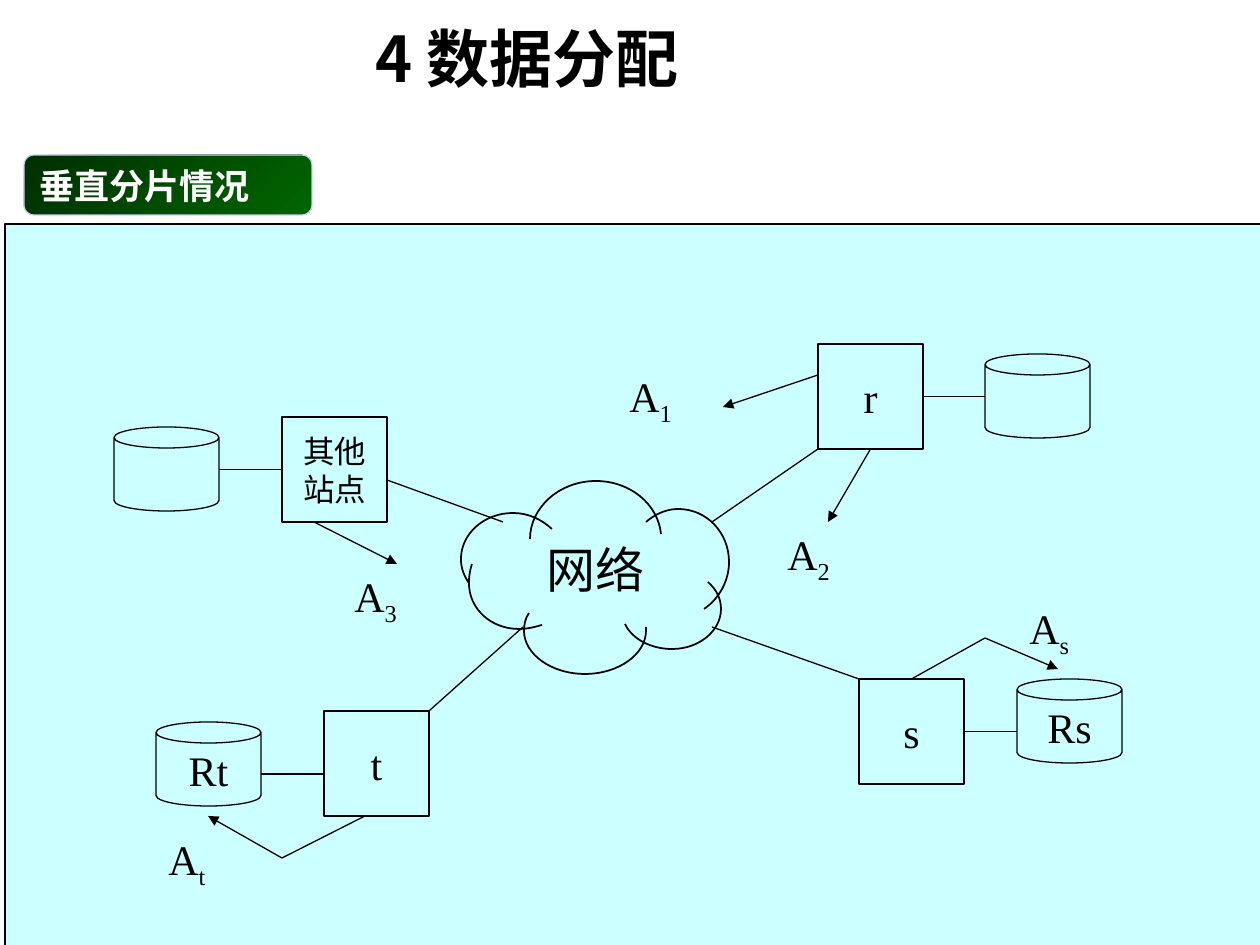
from lxml import etree
from pptx import Presentation
from pptx import util as u
from pptx.dml.color import RGBColor
from pptx.enum import shapes, text
from pptx.oxml.ns import qn

EMU_PER_PX = 914400 / 126
COLORS = {"ink": "000000", "white": "FFFFFF", "panel": "CCFFFF",
          "dark": "002F00", "green": "006600", "rim": "CCCCFF"}
SERIF, SANS = "Times New Roman", "Noto Sans CJK SC"

TITLE = ("4 数据分配", (363, 13, 630, 88))
HEADING = ("垂直分片情况", (24, 155, 288, 60))
PANEL = (5, 224, 1260, 725)
SITE_SIZE, DISK_SIZE = (105, 105), (105, 84)

# name: (text, left, top, font size)
SITES = {"r": ("r", 818, 344, 24), "s": ("s", 859, 679, 24),
         "other": ("其他\n站点", 282, 417, 18), "t": ("t", 324, 711, 24)}
# (text, left, top)
DISKS = [("", 114, 427), ("Rt", 156, 722), ("", 985, 354), ("Rs", 1017, 679)]
# (text, subscript, left, top, width, height, font size)
LABELS = [("网络", "", 534, 533, 136, 72, 28),
          ("A", "1", 617, 364, 105, 63, 24), ("A", "2", 775, 522, 136, 63, 24),
          ("A", "s", 1017, 596, 116, 63, 24), ("A", "t", 156, 827, 116, 63, 24),
          ("A", "3", 342, 564, 108, 63, 24)]
# (start, end, arrow at end, site and side joined at the start)
LINKS = [
    ((818, 375), (723, 407), True, None),
    ((870, 449), (828, 522), True, ("r", 2)),
    ((314, 522), (397, 564), True, None),
    ((912, 679), (985, 638), False, ("s", 0)),
    ((985, 638), (1058, 669), True, None),
    ((324, 774), (261, 774), False, None),
    ((282, 470), (219, 470), False, ("other", 1)),
    ((923, 396), (985, 396), False, ("r", 3)),
    ((964, 732), (1017, 732), False, ("s", 3)),
    ((429, 711), (523, 627), False, None),
    ((859, 679), (712, 627), False, None),
    ((387, 480), (503, 522), False, None),
    ((818, 449), (712, 522), False, None),
    ((365, 816), (282, 858), False, None),
    ((282, 858), (208, 816), True, None),
]
# Cubic curves: a start point, then two control points and an end point each
CLOUD_ARCS = [
    [(469, 583), (464, 576), (461, 568), (461, 559), (461, 534), (484, 513),
     (513, 513), (528, 513), (541, 519), (552, 529)],
    [(530, 539), (530, 508), (559, 481), (596, 481), (630, 481), (658, 504),
     (661, 534)],
    [(542, 625), (535, 627), (528, 629), (519, 629), (491, 629), (469, 609),
     (469, 583), (469, 577), (470, 570), (472, 564)],
    [(646, 627), (646, 629), (646, 630), (646, 631), (646, 654), (619, 674),
     (585, 674), (551, 674), (524, 654), (524, 631), (524, 625), (525, 619),
     (529, 613)],
    [(708, 582), (717, 590), (721, 599), (721, 609), (721, 631), (699, 649),
     (672, 649), (651, 649), (632, 639), (625, 624)],
    [(646, 522), (655, 514), (667, 509), (678, 509), (707, 509), (729, 533),
     (729, 562), (729, 581), (719, 599), (704, 609)],
]


def px(*values):
    return [u.Emu(round(value * EMU_PER_PX)) for value in values]


def rgb(name):
    return RGBColor.from_string(COLORS[name])


def style_span(span, size, color="ink", font=SERIF, bold=False):
    span.font.size, span.font.name, span.font.bold = u.Pt(size), font, bold
    span.font.color.rgb = rgb(color)
    east_asian = etree.SubElement(span.font._element, qn("a:ea"))
    east_asian.set("typeface", SANS)


def style_text(box, size, align=text.PP_ALIGN.LEFT, **look):
    for para in box.text_frame.paragraphs:
        para.alignment = align
        for span in para.runs:
            style_span(span, size, **look)


def outline(shape, width=0.75, color="ink"):
    shape.line.color.rgb = rgb(color)
    shape.line.width = u.Pt(width)


def add_box(page, kind, area, fill=None, line="ink"):
    shape = page.shapes.add_shape(kind, *px(*area))
    shape.shadow.inherit = False
    outline(shape, color=line)
    if fill:
        shape.fill.solid()
        shape.fill.fore_color.rgb = rgb(fill)
    else:
        shape.fill.background()
    return shape


def add_node(page, kind, words, area, size=24):
    """Add an unfilled shape with centred text that does not wrap."""
    node = add_box(page, kind, area)
    if words:
        node.text_frame.text = words
        node.text_frame.word_wrap = False
        node.text_frame.vertical_anchor = text.MSO_ANCHOR.MIDDLE
        style_text(node, size, text.PP_ALIGN.CENTER)
    return node


def add_text(page, words, area):
    box = page.shapes.add_textbox(*px(*area))
    box.text_frame.word_wrap = True
    box.text_frame.text = words
    return box


def add_link(page, start, end, arrow, site, side):
    link = page.shapes.add_connector(shapes.MSO_CONNECTOR.STRAIGHT, *px(*start, *end))
    outline(link)
    etree.SubElement(link._element.spPr, qn("a:effectLst"))
    if arrow:
        etree.SubElement(link.line._get_or_add_ln(), qn("a:tailEnd")).set("type", "triangle")
    if site:
        link.begin_connect(site, side)
        if start[1] == end[1]:
            link.end_y = link.begin_y


def add_curve(page, points):
    """Draw joined cubic curves as one open outline."""
    builder = page.shapes.build_freeform(*px(*points[0]))
    builder.add_line_segments([px(*point) for point in points[1:]], close=False)
    curve = builder.convert_to_shape()
    segments = list(curve._element.iter(qn("a:lnTo")))
    for first in range(0, len(segments), 3):
        cubic = etree.Element(qn("a:cubicBezTo"))
        segments[first].addprevious(cubic)
        for segment in segments[first:first + 3]:
            cubic.append(segment[0])
            segment.getparent().remove(segment)
    curve.shadow.inherit = False
    curve.fill.background()
    outline(curve, 1)


def add_heading(page):
    words, area = HEADING
    heading = add_box(page, shapes.MSO_SHAPE.ROUNDED_RECTANGLE, area, line="rim")
    heading.fill.gradient()
    heading.fill.gradient_angle = 315
    for stop, color in zip(heading.fill.gradient_stops, ("dark", "green")):
        stop.color.rgb = rgb(color)
    heading.text_frame.text = words
    heading.text_frame.vertical_anchor = text.MSO_ANCHOR.TOP
    style_text(heading, 20, color="white", bold=True)


def main():
    deck = Presentation()
    deck.slide_width, deck.slide_height = px(1260, 945)
    page = deck.slides.add_slide(deck.slide_layouts[6])

    add_heading(page)
    add_box(page, shapes.MSO_SHAPE.RECTANGLE, PANEL, fill="panel")
    for arc in CLOUD_ARCS:
        add_curve(page, arc)
    sites = {name: add_node(page, shapes.MSO_SHAPE.RECTANGLE, words,
                            (left, top, *SITE_SIZE), size)
             for name, (words, left, top, size) in SITES.items()}
    for words, left, top in DISKS:
        add_node(page, shapes.MSO_SHAPE.CAN, words, (left, top, *DISK_SIZE))
    for start, end, arrow, joined in LINKS:
        name, side = joined or (None, None)
        add_link(page, start, end, arrow, sites.get(name), side)
    for words, subscript, *area, size in LABELS:
        label = add_text(page, words, area)
        if subscript:
            label.text_frame.paragraphs[0].add_run().text = subscript
        style_text(label, size)
        if subscript:
            label.text_frame.paragraphs[0].runs[1].font._element.set("baseline", "-25000")
    title = add_text(page, *TITLE)
    style_text(title, 36, font=SANS, bold=True)
    deck.save("out.pptx")


if __name__ == "__main__":
    main()
